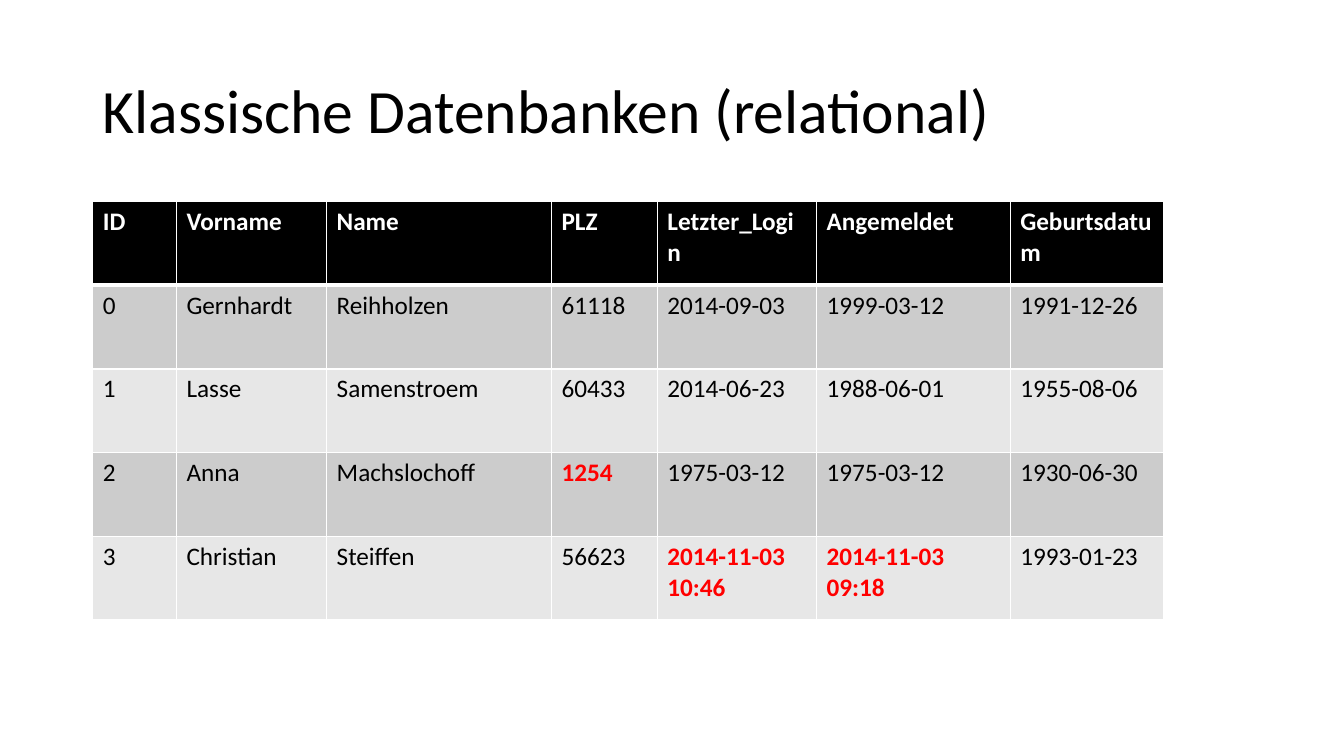
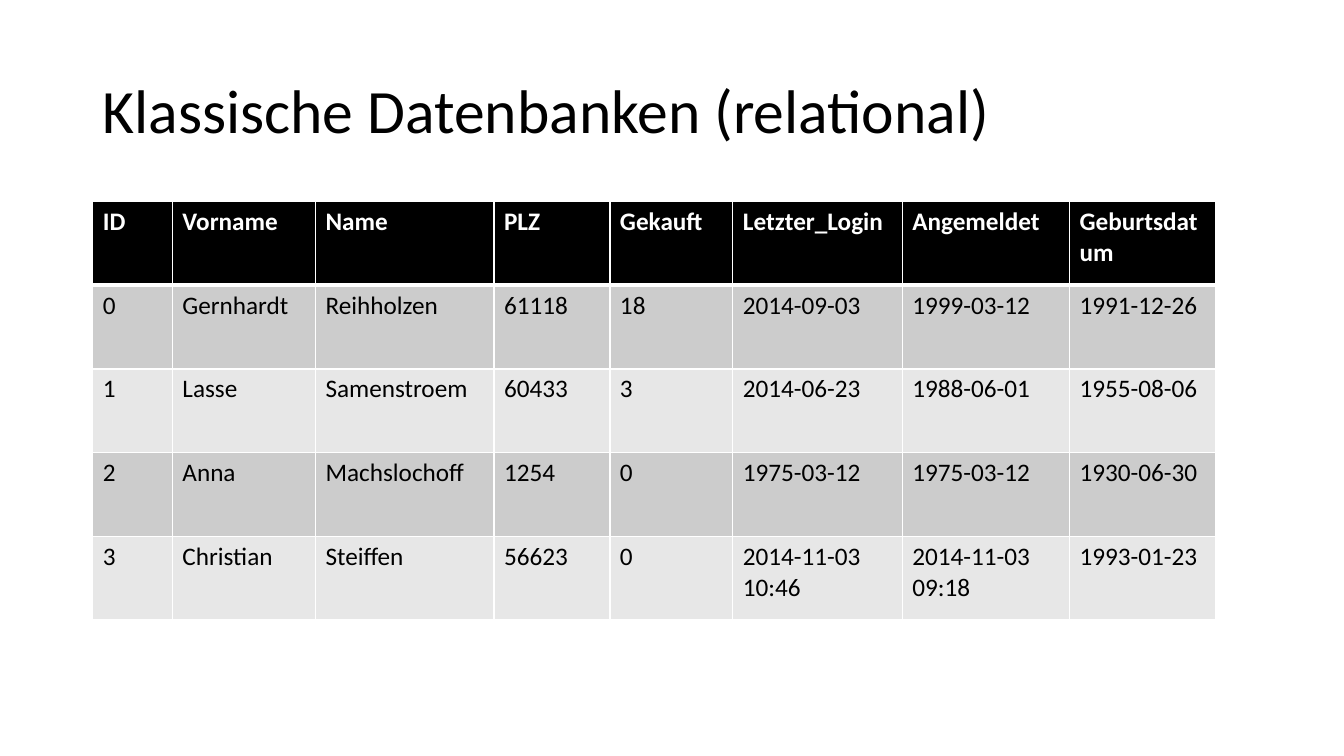
from lxml import etree
from pptx import Presentation
from pptx import util as u
from pptx.dml.color import RGBColor
from pptx.enum import text
from pptx.oxml import ns

FONT = "Calibri"
BLACK, WHITE, RED = "000000", "FFFFFF", "FF0000"
BANDS = ["E7E7E7", "CCCCCC"]
LEFT, TOP, ROW = 0.92, 2, 0.83
TITLE = "Klassische Datenbanken (relational)"

USERS = [
    ["ID", "Vorname", "Name", "PLZ", "Gekauft", "Letzter_Login", "Angemeldet", "Geburtsdatum"],
    ["0", "Gernhardt", "Reihholzen", "61118", "18", "2014-09-03", "1999-03-12", "1991-12-26"],
    ["1", "Lasse", "Samenstroem", "60433", "3", "2014-06-23", "1988-06-01", "1955-08-06"],
    ["2", "Anna", "Machslochoff", "1254", "0", "1975-03-12", "1975-03-12", "1930-06-30"],
    ["3", "Christian", "Steiffen", "56623", "0", "2014-11-03 10:46", "2014-11-03 09:18", "1993-01-23"],
]
BASIC = [row[:4] + row[5:] for row in USERS]
ODD = {"1254", "2014-11-03 10:46", "2014-11-03 09:18"}

PAGES = [
    (BASIC, [0.83, 1.49, 2.23, 1.05, 1.58, 1.92, 1.52], ODD),
    (USERS, [0.79, 1.42, 1.77, 1.15, 1.22, 1.68, 1.66, 1.45], set()),
]


def style(frame, size, color, bold=False):
    for run in frame.paragraphs[0].runs:
        run.font.name = FONT
        run.font.size = u.Pt(size)
        run.font.bold = bold
        run.font.color.rgb = RGBColor.from_string(color)


def border(cell, side, width):
    line = etree.SubElement(cell._tc.get_or_add_tcPr(), ns.qn("a:ln" + side), w=str(u.Pt(width)))
    fill = etree.SubElement(line, ns.qn("a:solidFill"))
    etree.SubElement(fill, ns.qn("a:srgbClr"), val=WHITE)


deck = Presentation()
deck.slide_width, deck.slide_height = u.Inches(13.33), u.Inches(7.5)

for rows, widths, marked in PAGES:
    slide = deck.slides.add_slide(deck.slide_layouts[6])

    title = slide.shapes.add_textbox(u.Inches(LEFT), u.Inches(0.4), u.Inches(11.5), u.Inches(1.45))
    frame = title.text_frame
    frame.word_wrap = True
    frame.vertical_anchor = text.MSO_ANCHOR.MIDDLE
    frame.text = TITLE
    frame.paragraphs[0].line_spacing = 0.9
    style(frame, 44, BLACK)

    table = slide.shapes.add_table(
        len(rows), len(widths), u.Inches(LEFT), u.Inches(TOP),
        u.Inches(sum(widths)), u.Inches(ROW * len(rows))).table
    table.horz_banding = False
    for col, width in zip(table.columns, widths):
        col.width = u.Inches(width)

    for r, row in enumerate(rows):
        table.rows[r].height = u.Inches(ROW)
        head = r == 0
        for c, value in enumerate(row):
            cell = table.cell(r, c)
            for side in "LRTB":
                thick = (r, side) in [(0, "B"), (1, "T")]
                border(cell, side, 3 if thick else 1)
            cell.fill.solid()
            cell.fill.fore_color.rgb = RGBColor.from_string(BLACK if head else BANDS[r % 2])
            cell.text_frame.text = value
            color = WHITE if head else RED if value in marked else BLACK
            style(cell.text_frame, 18, color, head or value in marked)

deck.save("out.pptx")
